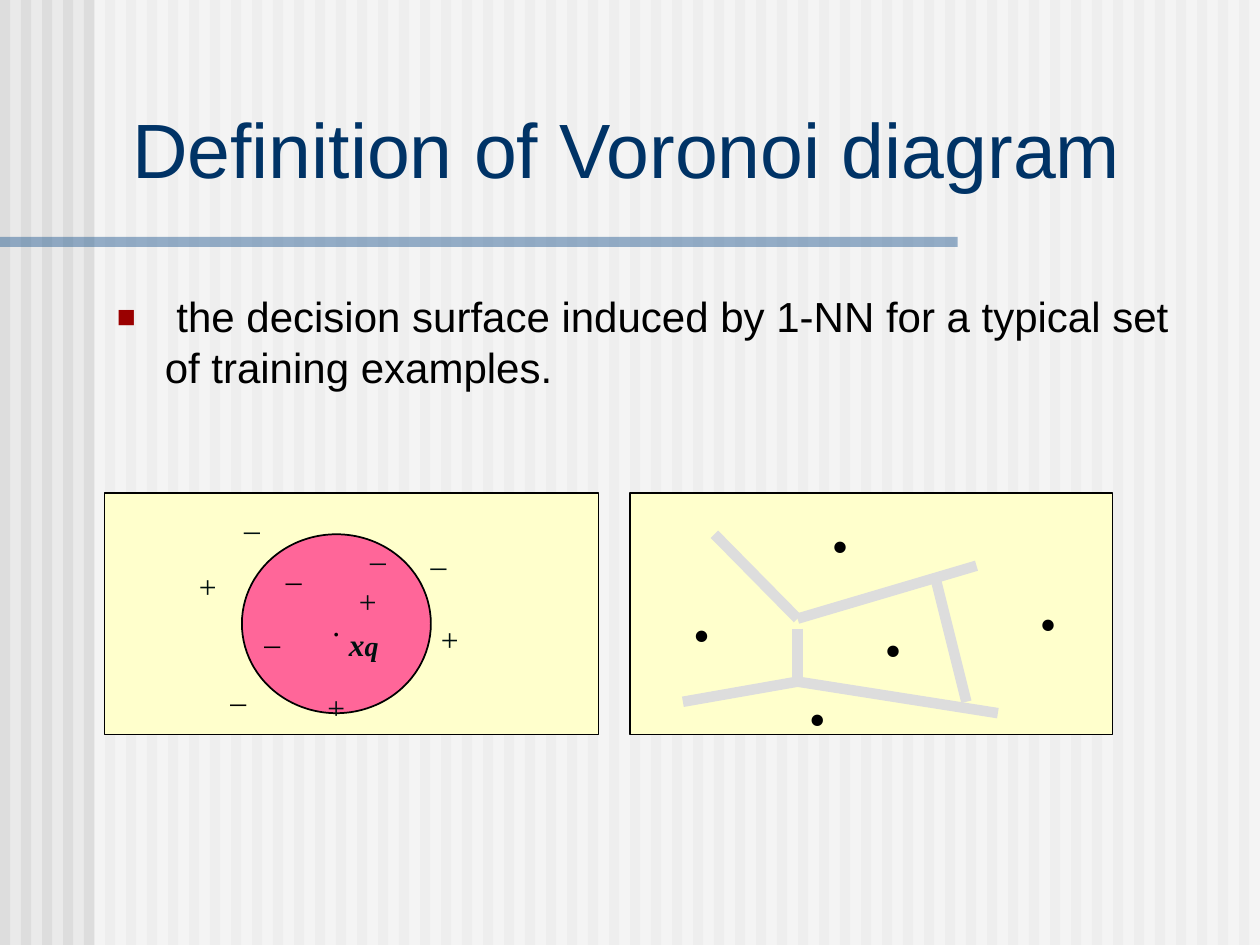
from lxml.etree import SubElement
from pptx import Presentation
from pptx.dml.color import RGBColor
from pptx.enum.shapes import MSO_CONNECTOR, MSO_SHAPE
from pptx.enum.text import MSO_ANCHOR, PP_ALIGN
from pptx.oxml.ns import qn
from pptx.util import Inches, Pt

BLACK = RGBColor(0x00, 0x00, 0x00)
INK = RGBColor(0x00, 0x10, 0x10)
WHITE = RGBColor(0xFF, 0xFF, 0xFF)
PAPER = RGBColor(0xEA, 0xEA, 0xEA)
GREY = RGBColor(0xDD, 0xDD, 0xDD)
NAVY = RGBColor(0x00, 0x33, 0x66)
BLUE = RGBColor(0x33, 0x66, 0x99)
CREAM = RGBColor(0xFF, 0xFF, 0xCC)
PINK = RGBColor(0xFF, 0x66, 0x99)
BULLET_RED = "9A0000"
SANS, SERIF = "Arial", "Times New Roman"

TITLE = "Definition of Voronoi diagram"
BULLET = " the decision surface induced by 1-NN for a typical set of training examples."
STRIPES = 60
PANELS = [(0.83, 3.91, 3.92, 1.92), (5, 3.91, 3.83, 1.92)]
CIRCLE = (1.92, 4.24, 1.5, 1.42)
SIGNS = [
    ("_", 2.17, 4.32, BLACK), ("+", 2.75, 4.57, INK), ("_", 2, 4.82, BLACK),
    ("+", 2.5, 5.41, INK), ("_", 2.84, 4.16, INK), ("_", 3.32, 4.2, INK),
    ("+", 1.48, 4.45, INK), ("_", 1.73, 5.28, BLACK), ("_", 1.84, 3.91, INK),
    ("+", 3.4, 4.87, INK),
]
EDGES = [
    ((5.67, 4.24), (6.33, 4.91)), ((6.33, 4.91), (7.75, 4.49)),
    ((6.33, 4.99), (6.33, 5.41)), ((6.33, 5.41), (7.92, 5.66)),
    ((6.33, 5.41), (5.42, 5.57)), ((7.42, 4.57), (7.67, 5.57)),
]
POINTS = [(6.5, 3.78), (6.92, 4.61), (6.32, 5.15), (5.4, 4.49), (8.15, 4.4)]


def add_run(p, text, size, color, font=SERIF, bold=False, italic=False):
    r = p.add_run()
    r.text = text
    r.font.size, r.font.name = Pt(size), font
    r.font.color.rgb = color
    r.font.bold, r.font.italic = bold, italic


def add_box(s, x, y, w, h, wrap=False, anchor=MSO_ANCHOR.TOP):
    tf = s.shapes.add_textbox(*map(Inches, (x, y, w, h))).text_frame
    tf.word_wrap, tf.vertical_anchor = wrap, anchor
    return tf.paragraphs[0]


def add_shape(s, kind, at, fill, alpha=None, outlined=False):
    sp = s.shapes.add_shape(kind, *map(Inches, at))
    sp.shadow.inherit = False
    sp.fill.solid()
    sp.fill.fore_color.rgb = fill
    if alpha:
        clr = sp.fill._xPr.find(qn("a:solidFill"))[0]
        SubElement(clr, qn("a:alpha"), val=str(alpha * 1000))
    if outlined:
        sp.line.color.rgb = BLACK
        sp.line.width = Pt(1)
    else:
        sp.line.fill.background()
    return sp


def add_edge(s, start, end):
    c = s.shapes.add_connector(MSO_CONNECTOR.STRAIGHT, *map(Inches, start + end))
    c.line.color.rgb = GREY
    c.line.width = Pt(6)
    SubElement(c._element.spPr, qn("a:effectLst"))


def add_bullet(p):
    pPr = p._p.get_or_add_pPr()
    pPr.set("marL", str(Inches(0.38)))
    pPr.set("indent", str(-Inches(0.38)))
    SubElement(SubElement(pPr, qn("a:buClr")), qn("a:srgbClr"), val=BULLET_RED)
    SubElement(pPr, qn("a:buSzPct"), val="75000")
    SubElement(pPr, qn("a:buFont"), typeface=SANS)
    SubElement(pPr, qn("a:buChar"), char="■")


def main():
    prs = Presentation()
    prs.slide_width, prs.slide_height = Inches(10), Inches(7.5)
    s = prs.slides.add_slide(prs.slide_layouts[6])
    s.background.fill.solid()
    s.background.fill.fore_color.rgb = PAPER

    for i in range(STRIPES):
        add_shape(s, MSO_SHAPE.RECTANGLE, (i / 6, 0, 0.08, 7.5), GREY)
    add_shape(s, MSO_SHAPE.RECTANGLE, (0.75, 0, 9.25, 7.5), WHITE, alpha=50)
    add_shape(s, MSO_SHAPE.RECTANGLE, (0, 1.88, 7.6, 0.08), BLUE, alpha=50)

    p = add_box(s, 0.95, 0.58, 8.93, 1.19, wrap=True, anchor=MSO_ANCHOR.MIDDLE)
    add_run(p, TITLE, 44, NAVY, SANS)
    p = add_box(s, 0.83, 2.26, 8.9, 1.2, wrap=True)
    add_bullet(p)
    add_run(p, BULLET, 24, BLACK, SANS)

    for at in PANELS:
        add_shape(s, MSO_SHAPE.RECTANGLE, at, CREAM, outlined=True)
    circle = add_shape(s, MSO_SHAPE.OVAL, CIRCLE, PINK, outlined=True)
    tf = circle.text_frame
    tf.word_wrap, tf.vertical_anchor = False, MSO_ANCHOR.MIDDLE
    p = tf.paragraphs[0]
    p.alignment = PP_ALIGN.CENTER
    add_run(p, ".", 18, BLACK)

    for sign, x, y, color in SIGNS:
        add_run(add_box(s, x, y, 0.33, 0.4), sign, 18, color)
    p = add_box(s, 2.67, 4.91, 0.6, 0.4, wrap=True)
    for letter, size in (("x", 18), ("q", 16)):
        add_run(p, letter, size, INK, bold=True, italic=True)

    for start, end in EDGES:
        add_edge(s, start, end)
    for x, y in POINTS:
        add_run(add_box(s, x, y, 0.34, 0.77), ".", 40, BLACK, bold=True)

    prs.save("out.pptx")


if __name__ == "__main__":
    main()
